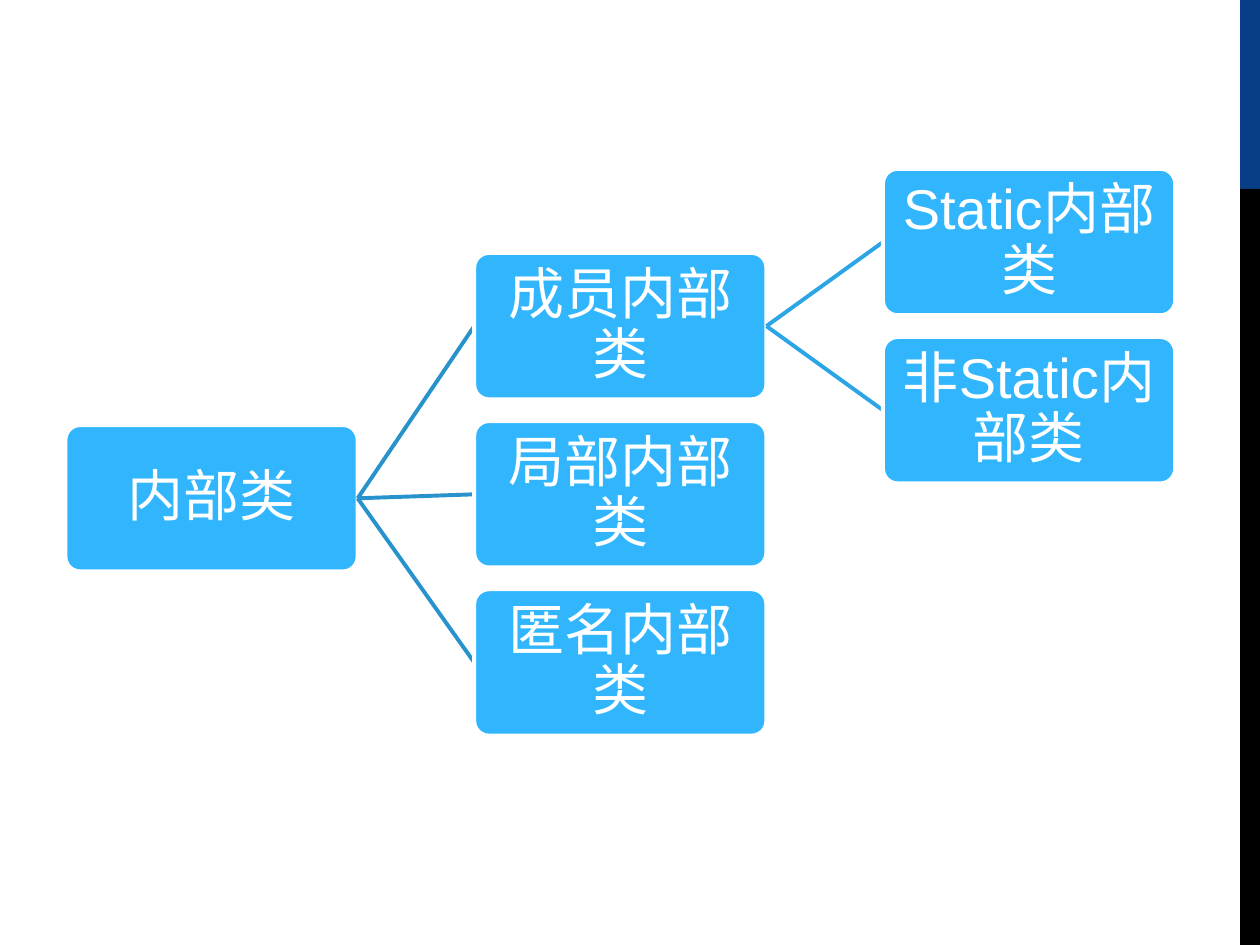
from lxml.etree import SubElement
from pptx import Presentation
from pptx.dml.color import RGBColor
from pptx.enum.shapes import MSO_CONNECTOR, MSO_SHAPE
from pptx.enum.text import MSO_ANCHOR, PP_ALIGN
from pptx.oxml.ns import qn
from pptx.util import Cm, Pt

WHITE = RGBColor(0xFF, 0xFF, 0xFF)
BLACK = RGBColor(0x00, 0x00, 0x00)
NAVY = RGBColor(0x07, 0x3E, 0x87)
SKY = RGBColor(0x31, 0xB6, 0xFD)
ROOT_BRANCH = RGBColor(0x27, 0x92, 0xCB)
MEMBER_BRANCH = RGBColor(0x2C, 0xA5, 0xE6)

NODE_WIDTH, NODE_HEIGHT = 5.89, 2.95
COLUMN_LEFT, COLUMN_STEP = 1.32, 8.24
ROW_STEP = 3.39
ROOT_TOP, KINDS_TOP = 8.57, 5.1
LEAVES_TOP = KINDS_TOP - ROW_STEP / 2

KINDS = ["成员内部类", "局部内部类", "匿名内部类"]
LEAVES = ["Static内部类", "非Static内部类"]


class TreeSlide:
    font_name = "Arial"
    font_size = Pt(32)
    line_width = Pt(2.25)

    def __init__(self, slide):
        self.slide = slide

    def bar(self, left, top, width, height, color):
        bar = self.slide.shapes.add_shape(
            MSO_SHAPE.RECTANGLE, Cm(left), Cm(top), Cm(width), Cm(height))
        bar.shadow.inherit = False
        bar.fill.solid()
        bar.fill.fore_color.rgb = color
        bar.line.fill.background()

    def node(self, text, column, top):
        box = self.slide.shapes.add_shape(
            MSO_SHAPE.ROUNDED_RECTANGLE, Cm(COLUMN_LEFT + column * COLUMN_STEP),
            Cm(top), Cm(NODE_WIDTH), Cm(NODE_HEIGHT))
        box.adjustments[0] = 0.1
        box.shadow.inherit = False
        box.fill.solid()
        box.fill.fore_color.rgb = SKY
        box.line.color.rgb = WHITE
        box.line.width = self.line_width
        frame = box.text_frame
        frame.margin_left = frame.margin_right = Cm(0.05)
        frame.margin_top = frame.margin_bottom = Cm(0.05)
        frame.vertical_anchor = MSO_ANCHOR.MIDDLE
        frame.word_wrap = True
        frame.text = text
        para = frame.paragraphs[0]
        para.alignment = PP_ALIGN.CENTER
        para.line_spacing = 0.9
        for span in para.runs:
            span.font.name = self.font_name
            span.font.size = self.font_size
            span.font.color.rgb = WHITE

    def branch(self, column, parent_top, child_top, color):
        parent_left = COLUMN_LEFT + column * COLUMN_STEP
        line = self.slide.shapes.add_connector(
            MSO_CONNECTOR.STRAIGHT,
            Cm(parent_left + NODE_WIDTH), Cm(parent_top + NODE_HEIGHT / 2),
            Cm(parent_left + COLUMN_STEP), Cm(child_top + NODE_HEIGHT / 2))
        line.line.color.rgb = color
        line.line.width = self.line_width
        SubElement(line._element.spPr, qn("a:effectLst"))

    def children(self, texts, column, parent_top, first_top, color):
        for row, text in enumerate(texts):
            top = first_top + row * ROW_STEP
            self.branch(column - 1, parent_top, top, color)
            self.node(text, column, top)


def main():
    deck = Presentation()
    deck.slide_width, deck.slide_height = Cm(25.4), Cm(19.05)
    page = TreeSlide(deck.slides.add_slide(deck.slide_layouts[6]))
    page.bar(25, 0, 0.4, 3.81, NAVY)
    page.bar(25, 3.81, 0.4, 15.24, BLACK)
    page.node("内部类", 0, ROOT_TOP)
    page.children(KINDS, 1, ROOT_TOP, KINDS_TOP, ROOT_BRANCH)
    page.children(LEAVES, 2, KINDS_TOP, LEAVES_TOP, MEMBER_BRANCH)
    deck.save("out.pptx")


if __name__ == "__main__":
    main()
